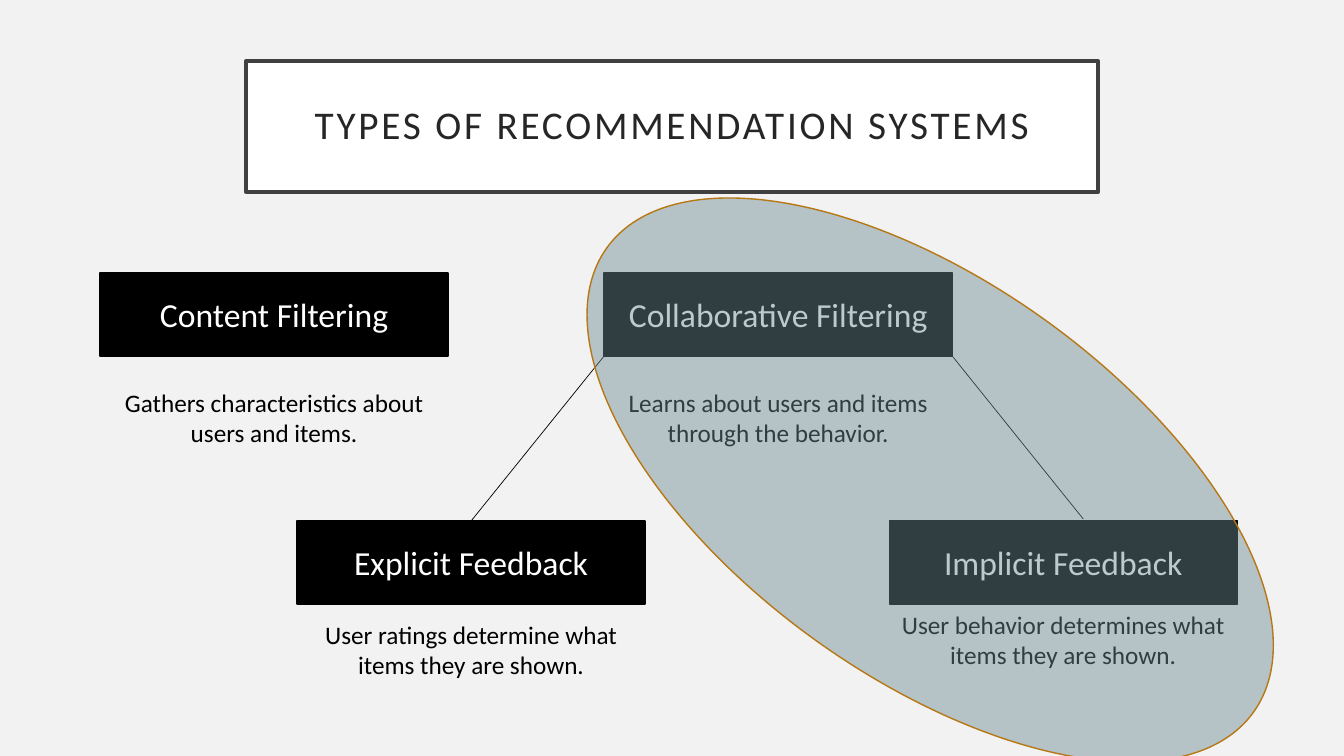
"""Build the slide on types of recommendation systems."""
from lxml.etree import SubElement
from pptx import Presentation
from pptx.dml.color import RGBColor
from pptx.enum.shapes import MSO_CONNECTOR, MSO_SHAPE
from pptx.enum.text import MSO_ANCHOR, PP_ALIGN
from pptx.oxml.ns import qn
from pptx.util import Inches, Pt

TITLE = "TYPES OF RECOMMENDATION SYSTEMS"
TITLE_AREA = (246, 61, 852, 131)
TITLE_INSET = 20

# label, left, top, description, description top
SYSTEMS = [
    ("Content Filtering", 100, 273,
     "Gathers characteristics about users and items.", 382),
    ("Collaborative Filtering", 604, 273,
     "Learns about users and items through the behavior.", 382),
    ("Explicit Feedback", 297, 521,
     "User ratings determine what items they are shown.", 614),
    ("Implicit Feedback", 889, 521,
     "User behavior determines what items they are shown.", 604),
]
BOX_WIDTH, BOX_HEIGHT, DESCRIPTION_HEIGHT = 348, 83, 72
BRANCHES = [(604, 356, 471, 521), (952, 356, 1083, 519)]
HIGHLIGHT_AREA, HIGHLIGHT_ROTATION, HIGHLIGHT_OPACITY = (733, 82, 394, 796), 305.7, 45

FONT = "Calibri"
EMU_PER_PX = 914400 / 100.8


def px(*lengths):
    return [round(length * EMU_PER_PX) for length in lengths]


def color(hex_string):
    return RGBColor.from_string(hex_string)


def add_shape(slide, kind, area, fill, line, line_width):
    shape = slide.shapes.add_shape(kind, *px(*area))
    shape.shadow.inherit = False
    shape.fill.solid()
    shape.fill.fore_color.rgb = color(fill)
    shape.line.color.rgb = color(line)
    shape.line.width = Pt(line_width)
    return shape


def write(shape, text, size, font_color, anchor=MSO_ANCHOR.MIDDLE):
    frame = shape.text_frame
    frame.word_wrap = True
    frame.vertical_anchor = anchor
    frame.text = text
    paragraph = frame.paragraphs[0]
    paragraph.alignment = PP_ALIGN.CENTER
    run = paragraph.runs[0]
    run.font.name = FONT
    run.font.size = Pt(size)
    run.font.color.rgb = color(font_color)
    return paragraph


def add_title(slide):
    shape = add_shape(slide, MSO_SHAPE.RECTANGLE, TITLE_AREA, "FFFFFF", "404040", 2.5)
    paragraph = write(shape, TITLE, 28, "262626")
    paragraph.line_spacing = 0.9
    paragraph.runs[0].font._element.set("spc", "200")
    frame = shape.text_frame
    inset = px(TITLE_INSET)[0]
    frame.margin_left = frame.margin_right = inset
    frame.margin_top = frame.margin_bottom = inset


def add_system(slide, label, left, top, description, description_top):
    box = add_shape(slide, MSO_SHAPE.RECTANGLE, (left, top, BOX_WIDTH, BOX_HEIGHT),
                    "000000", "000000", 1)
    write(box, label, 24, "FFFFFF")
    text_box = slide.shapes.add_textbox(
        *px(left, description_top, BOX_WIDTH, DESCRIPTION_HEIGHT))
    write(text_box, description, 18, "000000", MSO_ANCHOR.TOP)


def add_branch(slide, ends):
    connector = slide.shapes.add_connector(MSO_CONNECTOR.STRAIGHT, *px(*ends))
    connector.line.color.rgb = color("000000")
    connector.line.width = Pt(0.5)
    SubElement(connector._element.spPr, qn("a:effectLst"))


def add_highlight(slide):
    ellipse = add_shape(slide, MSO_SHAPE.OVAL, HIGHLIGHT_AREA, "6B8891", "B67815", 1)
    ellipse.rotation = HIGHLIGHT_ROTATION
    fill_color = ellipse._element.spPr.find(qn("a:solidFill")).find(qn("a:srgbClr"))
    SubElement(fill_color, qn("a:alpha"), val=str(HIGHLIGHT_OPACITY * 1000))


def main():
    presentation = Presentation()
    presentation.slide_width = Inches(13.33)
    presentation.slide_height = Inches(7.5)
    slide = presentation.slides.add_slide(presentation.slide_layouts[6])
    slide.background.fill.solid()
    slide.background.fill.fore_color.rgb = color("F2F2F2")
    add_title(slide)
    for system in SYSTEMS:
        add_system(slide, *system)
    for ends in BRANCHES:
        add_branch(slide, ends)
    add_highlight(slide)
    presentation.save("out.pptx")


if __name__ == "__main__":
    main()
